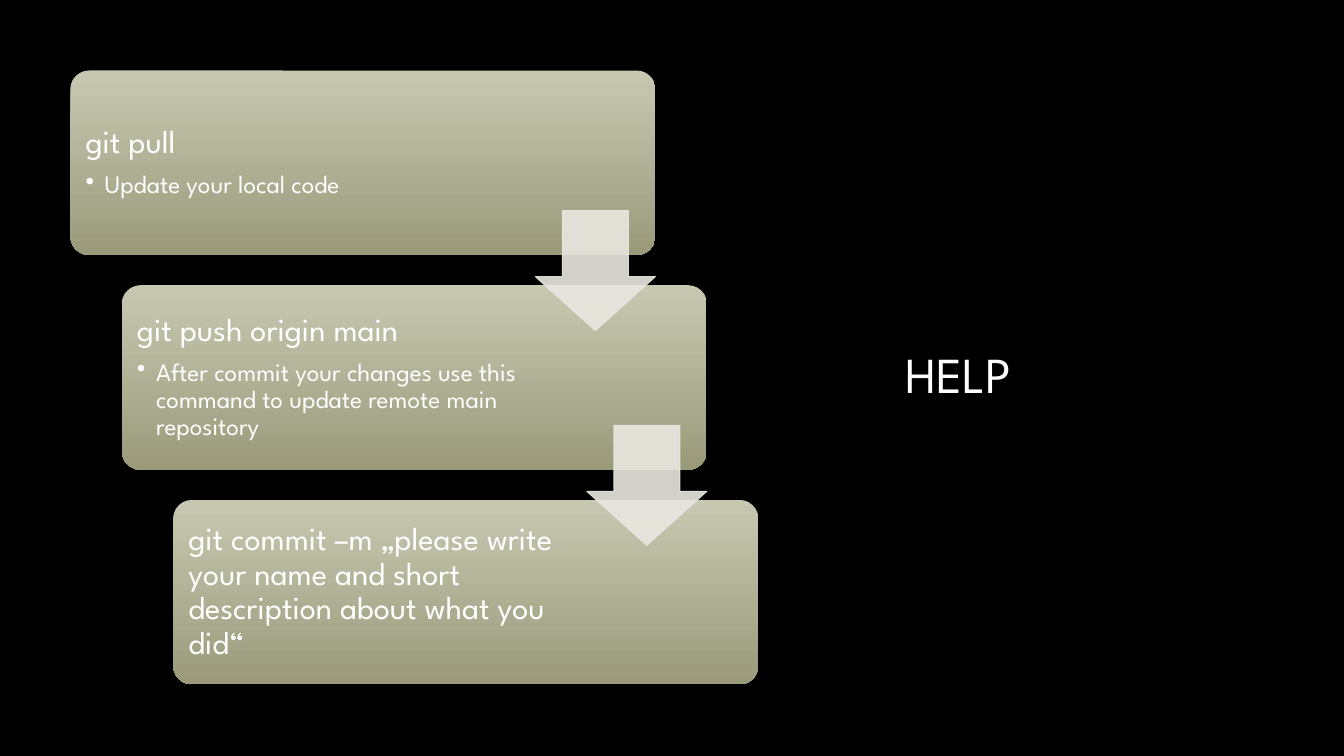
import pptx
import pptx.dml.color
import pptx.enum.shapes
import pptx.enum.text
import pptx.oxml.ns
import pptx.util
from dataclasses import dataclass
from lxml import etree

Inches = pptx.util.Inches
Pt = pptx.util.Pt
Shape = pptx.enum.shapes.MSO_SHAPE
Anchor = pptx.enum.text.MSO_ANCHOR


@dataclass
class Theme:
    font: str = "League Spartan"
    background: str = "000000"
    text: str = "FFFFFF"
    card_top: str = "C8C8B2"
    card_bottom: str = "9A9A7B"
    arrow: str = "E8E8E1"
    arrow_opacity: int = 90
    title_size: int = 36
    command_size: int = 23
    detail_size: int = 18


def rgb(value):
    return pptx.dml.color.RGBColor.from_string(value)


class SlideBuilder:
    def __init__(self, slide, theme):
        self.slide = slide
        self.theme = theme
        slide.background.fill.solid()
        slide.background.fill.fore_color.rgb = rgb(theme.background)

    def shape(self, kind, left, top, width, height, adjustments):
        shape = self.slide.shapes.add_shape(
            kind, Inches(left), Inches(top), Inches(width), Inches(height))
        shape.shadow.inherit = False
        for index, value in enumerate(adjustments):
            shape.adjustments[index] = value
        return shape

    def card(self, left, top, width, height):
        card = self.shape(Shape.ROUNDED_RECTANGLE, left, top, width, height, [0.1])
        card.line.fill.background()
        card.fill.gradient()
        card.fill.gradient_angle = 270
        colors = (self.theme.card_top, self.theme.card_bottom)
        for stop, color in zip(card.fill.gradient_stops, colors):
            stop.color.rgb = rgb(color)

    def arrow(self, left, top, size):
        arrow = self.shape(Shape.DOWN_ARROW, left, top, size, size, [0.55, 0.45])
        arrow.line.width = Pt(0.75)
        for fill in (arrow.fill, arrow.line.fill):
            fill.solid()
            fill.fore_color.rgb = rgb(self.theme.arrow)
        # Same opacity for fill and outline
        for color in arrow._element.spPr.iter(pptx.oxml.ns.qn("a:srgbClr")):
            alpha = etree.SubElement(color, pptx.oxml.ns.qn("a:alpha"))
            alpha.set("val", str(self.theme.arrow_opacity * 1000))

    def text_frame(self, left, top, width, height, inset):
        box = self.slide.shapes.add_textbox(
            Inches(left), Inches(top), Inches(width), Inches(height))
        frame = box.text_frame
        frame.word_wrap = True
        frame.vertical_anchor = Anchor.MIDDLE
        frame.margin_left = frame.margin_right = Inches(inset)
        frame.margin_top = frame.margin_bottom = Inches(inset)
        return frame

    def run(self, paragraph, text, size):
        run = paragraph.add_run()
        run.text = text
        run.font.name = self.theme.font
        run.font.size = Pt(size)
        run.font.color.rgb = rgb(self.theme.text)

    def bullet(self, paragraph, indent):
        paragraph.level = 1
        properties = paragraph._p.get_or_add_pPr()
        properties.set("marL", str(Inches(indent)))
        properties.set("indent", str(-Inches(indent)))
        mark = etree.SubElement(properties, pptx.oxml.ns.qn("a:buChar"))
        mark.set("char", "•")

    def step_text(self, left, top, width, height, command, detail):
        frame = self.text_frame(left, top, width, height, 0.1)
        paragraph = frame.paragraphs[0]
        paragraph.line_spacing = 0.9
        paragraph.space_after = Pt(8)
        self.run(paragraph, command, self.theme.command_size)
        if detail:
            paragraph = frame.add_paragraph()
            paragraph.line_spacing = 0.9
            paragraph.space_after = Pt(3)
            self.bullet(paragraph, 0.19)
            self.run(paragraph, detail, self.theme.detail_size)

    def title(self, left, top, width, height, text):
        frame = self.text_frame(left, top, width, height, 0.1)
        frame.paragraphs[0].line_spacing = 0.9
        self.run(frame.paragraphs[0], text, self.theme.title_size)


# Each step: command, detail, text width
STEPS = [
    ("git pull", "Update your local code", 3.83),
    ("git push origin main",
     "After commit your changes use this command to update remote main repository", 4),
    ("git commit –m „please write your name and short description about what you did“",
     None, 4),
]
LEFT, TOP = 0.7, 0.7
CARD_WIDTH, CARD_HEIGHT = 5.8, 1.83
STEP_X, STEP_Y = 0.51, 2.13
TEXT_INSET = 0.05
ARROW_SIZE = 1.19
ARROW_TOP = 2.09


def main():
    presentation = pptx.Presentation()
    presentation.slide_width = Inches(13.33)
    presentation.slide_height = Inches(7.5)
    slide = presentation.slides.add_slide(presentation.slide_layouts[6])
    builder = SlideBuilder(slide, Theme())

    # Title
    builder.title(8.88, 0.7, 3.44, 6.09, "HELP")

    # Staggered step cards
    for index, (command, detail, text_width) in enumerate(STEPS):
        left, top = LEFT + index * STEP_X, TOP + index * STEP_Y
        builder.card(left, top, CARD_WIDTH, CARD_HEIGHT)
        builder.step_text(left + TEXT_INSET, top + TEXT_INSET, text_width,
                          CARD_HEIGHT - 2 * TEXT_INSET, command, detail)

    # Arrows flush with the right edge of the card above
    for index in range(len(STEPS) - 1):
        builder.arrow(LEFT + CARD_WIDTH - ARROW_SIZE + index * STEP_X,
                      ARROW_TOP + index * STEP_Y, ARROW_SIZE)

    presentation.save("out.pptx")


if __name__ == "__main__":
    main()
